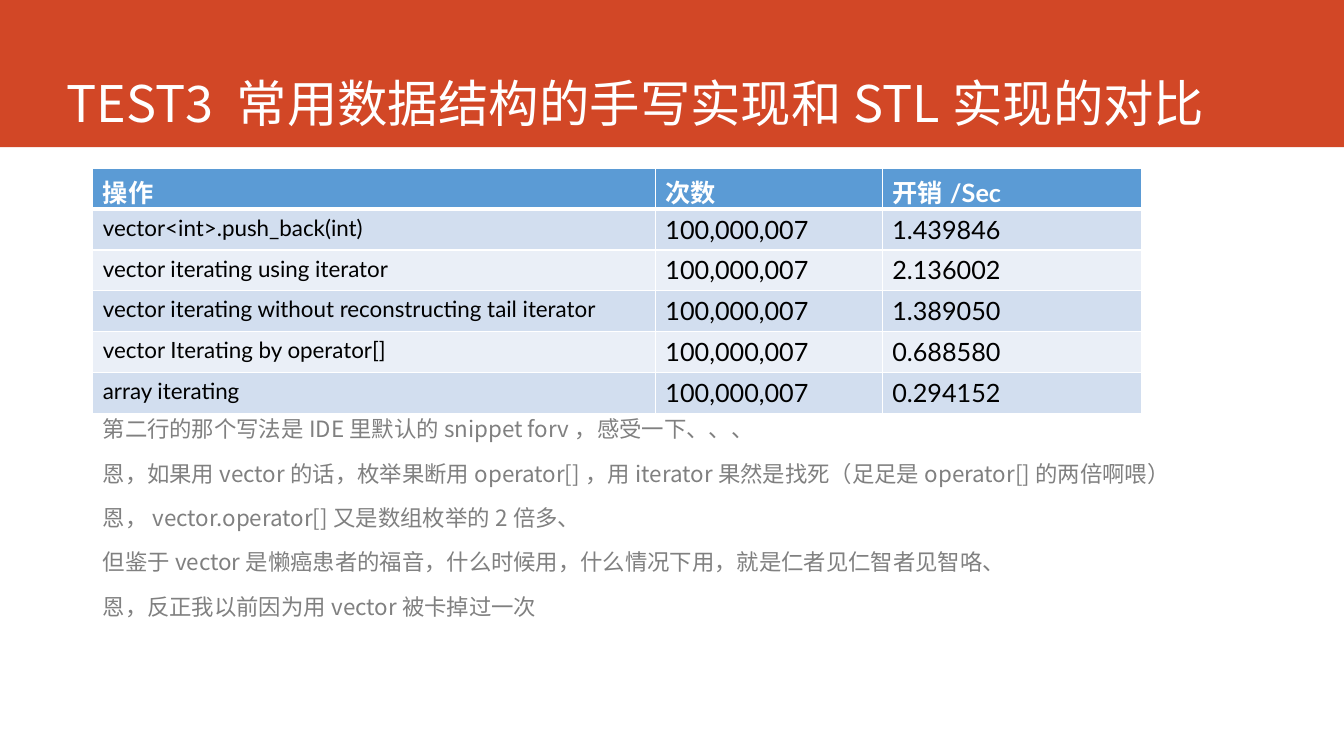
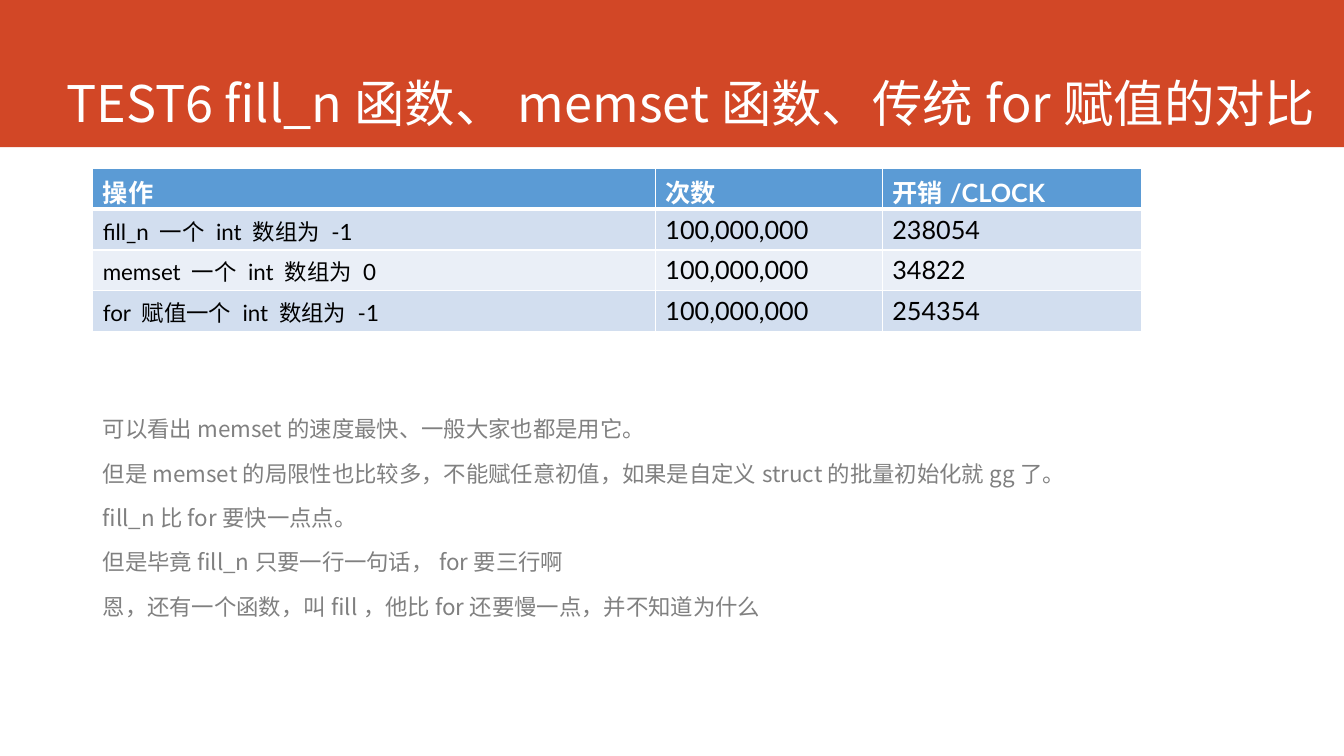
from lxml import etree
from pptx import Presentation, util as u
from pptx.dml.color import RGBColor
from pptx.enum import shapes, text
from pptx.oxml import ns

W, H = 13.33, 7.5
LEFT = 0.92
RED, WHITE, BLACK, GREY = "D24726", "FFFFFF", "000000", "808080"
HEAD, BANDS = "5B9BD5", ("D2DEEF", "EAEFF7")
CJK, LATIN = "Noto Sans CJK SC", "Lato"
COLUMNS, ROW = (5.58, 2.25, 2.57), 0.405

SLIDES = [
    ("TEST3 常用数据结构的手写实现和STL实现的对比",
     [("操作", "次数", "开销/Sec"),
      ("vector<int>.push_back(int)", "100,000,007", "1.439846"),
      ("vector iterating using iterator", "100,000,007", "2.136002"),
      ("vector iterating without reconstructing tail iterator", "100,000,007", "1.389050"),
      ("vector Iterating by operator[]", "100,000,007", "0.688580"),
      ("array iterating", "100,000,007", "0.294152")],
     ["第二行的那个写法是IDE里默认的snippet forv，感受一下、、、",
      "恩，如果用vector的话，枚举果断用operator[]，用iterator果然是找死（足足是operator[]的两倍啊喂）",
      "恩，vector.operator[]又是数组枚举的2倍多、",
      "但鉴于vector是懒癌患者的福音，什么时候用，什么情况下用，就是仁者见仁智者见智咯、",
      "恩，反正我以前因为用vector被卡掉过一次"]),
    ("TEST6 fill_n函数、memset函数、传统for赋值的对比",
     [("操作", "次数", "开销/CLOCK"),
      ("fill_n 一个 int 数组为 -1", "100,000,000", "238054"),
      ("memset 一个 int 数组为 0", "100,000,000", "34822"),
      ("for 赋值一个 int 数组为 -1", "100,000,000", "254354")],
     ["可以看出memset的速度最快、一般大家也都是用它。",
      "但是memset的局限性也比较多，不能赋任意初值，如果是自定义struct的批量初始化就gg了。",
      "fill_n比for要快一点点。",
      "但是毕竟fill_n只要一行一句话，for要三行啊",
      "恩，还有一个函数，叫fill，他比for还要慢一点，并不知道为什么"]),
]


def rgb(value):
    """Return the colour for a hex string."""
    return RGBColor.from_string(value)


def add_run(p, content, size, color, font=CJK, bold=False):
    """Append a run with Latin and East Asian fonts."""
    r = p.add_run()
    r.text = content
    r.font.size, r.font.bold, r.font.name = u.Pt(size), bold, font
    r.font.color.rgb = rgb(color)
    etree.SubElement(r._r.get_or_add_rPr(), ns.qn("a:ea"), typeface=CJK)


def add_band(s):
    """Draw the band behind the title."""
    sp = s.shapes.add_shape(shapes.MSO_SHAPE.RECTANGLE, 0, 0, u.Inches(W), u.Inches(1.46))
    sp.shadow.inherit = False
    sp.fill.solid()
    sp.fill.fore_color.rgb = rgb(RED)
    sp.line.fill.background()


def add_text(s, box, lines, size, color, anchor=text.MSO_ANCHOR.TOP, after=0, before=0):
    """Place a wrapped text box with one paragraph per line."""
    tf = s.shapes.add_textbox(*map(u.Inches, box)).text_frame
    tf.word_wrap, tf.vertical_anchor, tf.margin_bottom = True, anchor, 0
    for i, line in enumerate(lines):
        p = tf.paragraphs[0] if i == 0 else tf.add_paragraph()
        p.line_spacing = 0.9
        p.space_after = u.Pt(after)
        p.space_before = u.Pt(before if i else 0)
        add_run(p, line, size, color)


def add_borders(cell, bottom):
    """Give a cell white borders, placed ahead of its fill."""
    tcPr = cell._tc.get_or_add_tcPr()
    for i, (side, width) in enumerate(zip("LRTB", (1, 1, 1, bottom))):
        ln = etree.Element(ns.qn(f"a:ln{side}"), w=str(u.Pt(width)))
        fill = etree.SubElement(ln, ns.qn("a:solidFill"))
        etree.SubElement(fill, ns.qn("a:srgbClr"), val=WHITE)
        tcPr.insert(i, ln)


def add_results(s, rows):
    """Add the banded table of timings."""
    box = (LEFT, 1.67, sum(COLUMNS), ROW * len(rows))
    table = s.shapes.add_table(len(rows), len(COLUMNS), *map(u.Inches, box)).table
    for column, width in zip(table.columns, COLUMNS):
        column.width = u.Inches(width)
    for i, row in enumerate(rows):
        head = i == 0
        for j, value in enumerate(row):
            cell = table.cell(i, j)
            cell.fill.solid()
            cell.fill.fore_color.rgb = rgb(HEAD if head else BANDS[(i - 1) % 2])
            add_borders(cell, 3 if head else 1)
            add_run(cell.text_frame.paragraphs[0], value, 18 if head or j else 16,
                    WHITE if head else BLACK, LATIN, head)


def main():
    """Build and save the slides."""
    prs = Presentation()
    prs.slide_width, prs.slide_height = u.Inches(W), u.Inches(H)
    for title, rows, notes in SLIDES:
        s = prs.slides.add_slide(prs.slide_layouts[6])
        add_band(s)
        add_text(s, (0.56, 0, W - 0.56, 1.32), [title], 36, WHITE, text.MSO_ANCHOR.BOTTOM)
        add_text(s, (LEFT, 4.1, 11.39, 2.99), notes, 16, GREY, after=12, before=2.5)
        add_results(s, rows)
    prs.save("out.pptx")


main()
